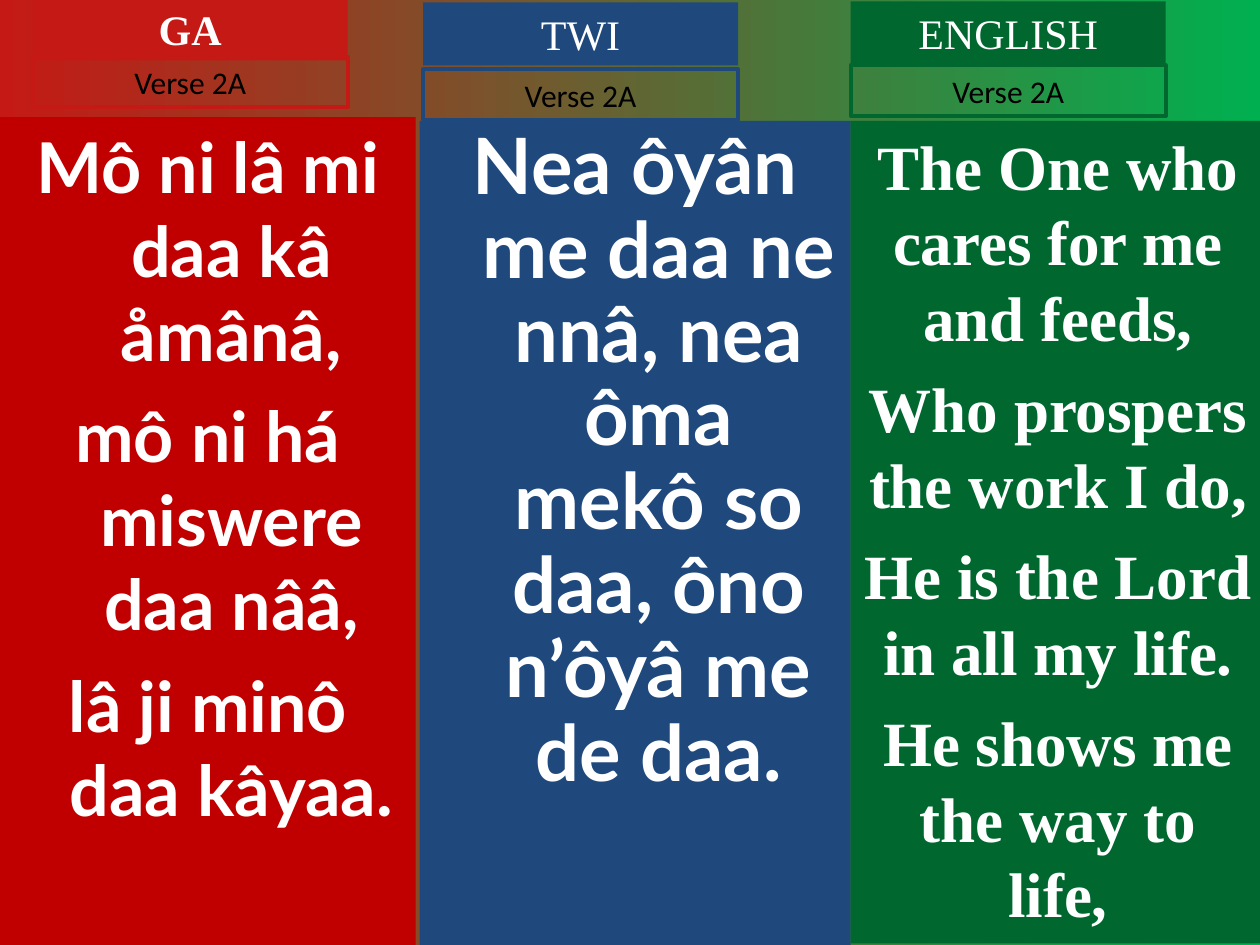
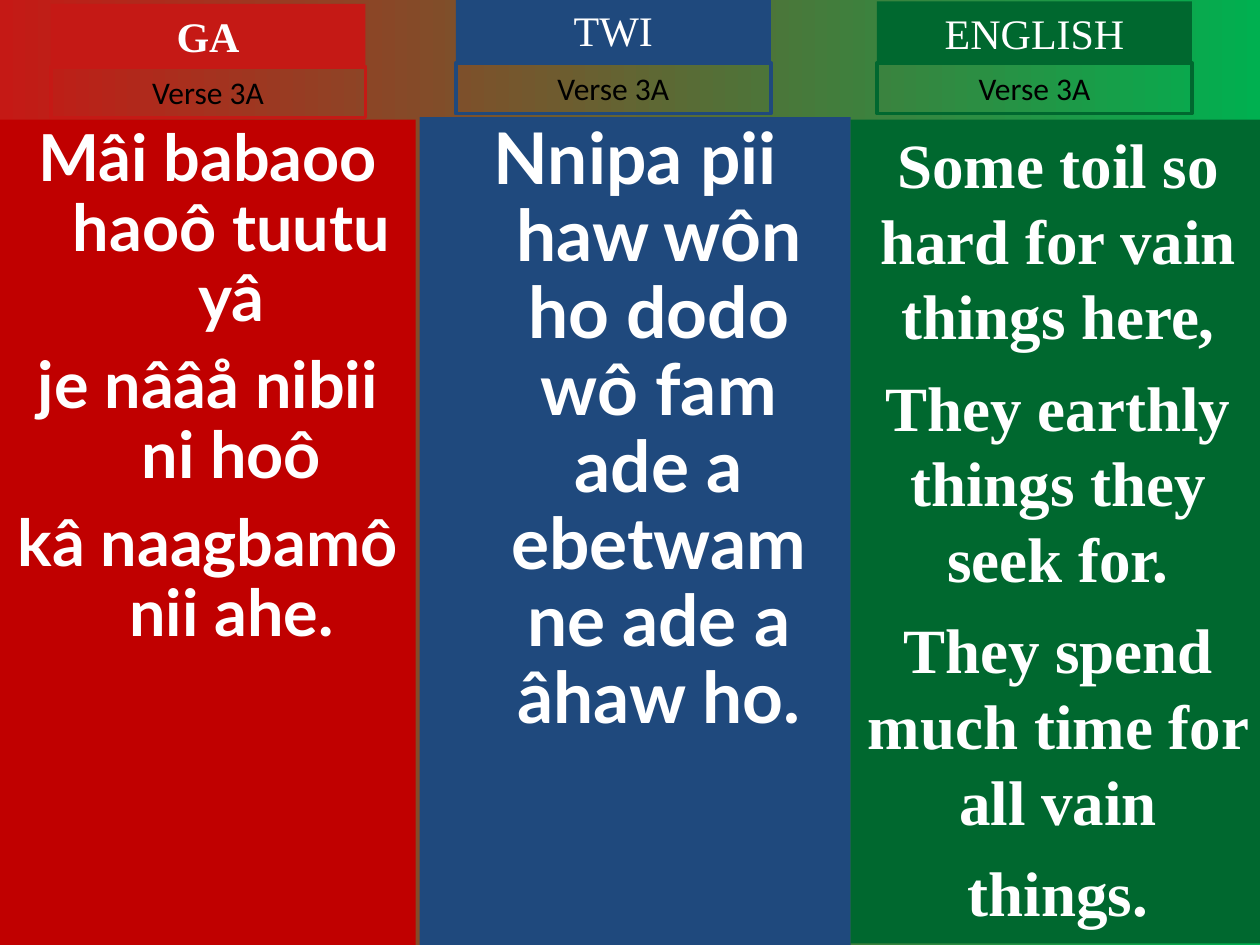
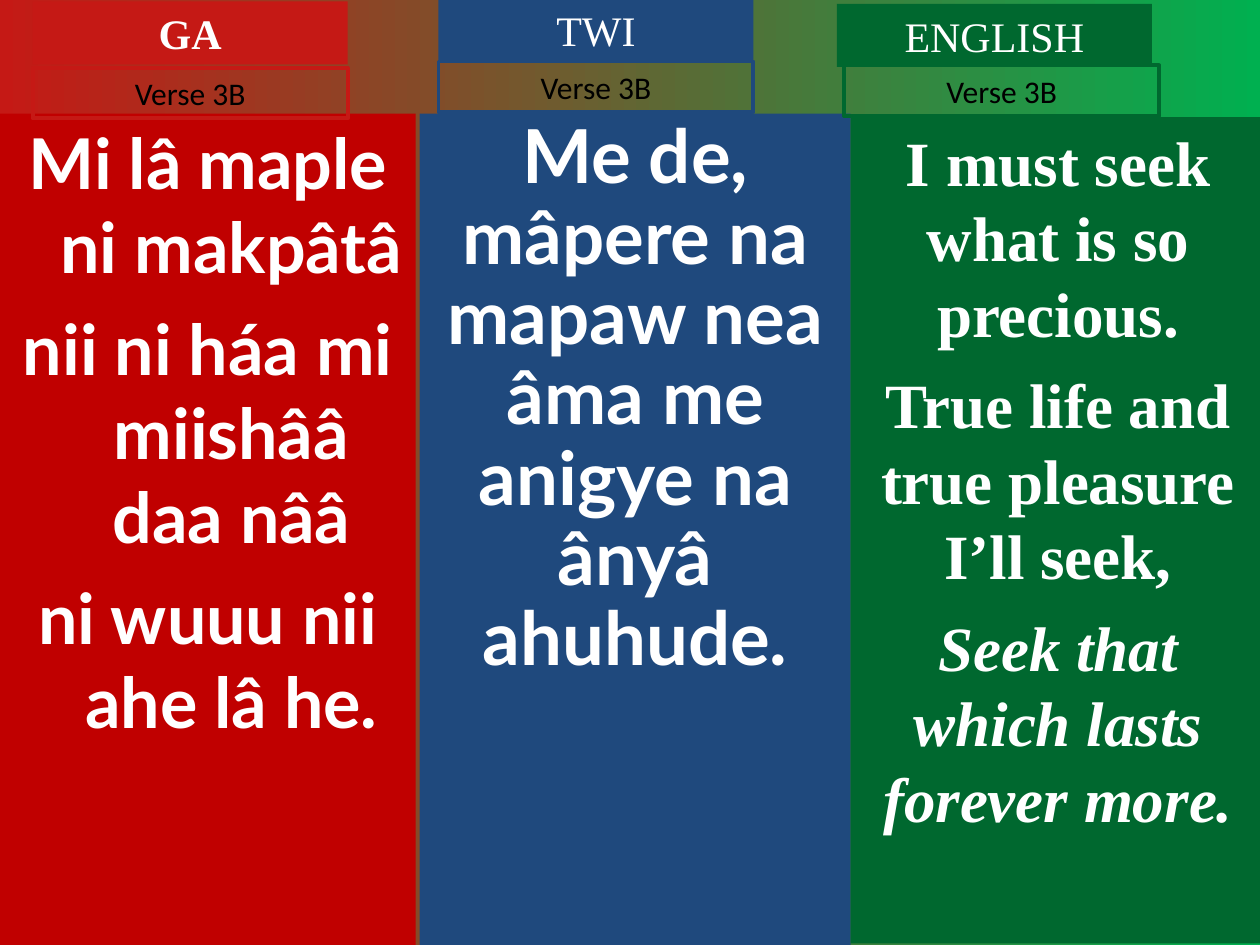
from pptx import Presentation
from pptx.dml.color import RGBColor
from pptx.enum.shapes import MSO_SHAPE
from pptx.enum.text import MSO_ANCHOR, PP_ALIGN
from pptx.util import Cm, Pt

RECT = MSO_SHAPE.RECTANGLE
TOP = MSO_ANCHOR.TOP
CENTER = PP_ALIGN.CENTER

COLORS = {
    "ga": "C51915", "ga_panel": "C00000", "twi": "1F497D", "english": "00682F",
    "bg_end": "00B050", "white": "FFFFFF", "black": "000000",
}
SERIF, SANS, LYRIC = "Times New Roman", "Calibri", "Lato"

COLUMNS = [
    {"name": "GA", "color": "ga", "panel": "ga_panel", "font": LYRIC,
     "left": 0, "width": 8.38, "bottom": 19.05, "inset": 0.25},
    {"name": "TWI", "color": "twi", "panel": "twi", "font": LYRIC,
     "left": 8.46, "width": 8.69, "bottom": 19.05, "inset": 0.3},
    {"name": "ENGLISH", "color": "english", "panel": "english", "font": SERIF,
     "left": 17.15, "width": 8.36, "bottom": 19.02, "inset": 0.25},
]

SLIDES = [
    ("Verse 2A", [
        {"top": 2.36, "head": (0.66, -0.05), "verse": (0.66, 1.14),
         "size": 40, "before": 10, "spacing": 1, "hanging": True,
         "lines": ["Mô ni lâ mi daa kâ åmânâ,", "mô ni há miswere daa nââ,",
                   "lâ ji minô daa kâyaa."]},
        {"top": 2.44, "head": (8.53, 0.05), "verse": (8.53, 1.4),
         "size": 44.4, "before": 12, "spacing": 0.9, "hanging": True,
         "lines": ["Nea ôyân me daa ne nnâ, nea ôma mekô so daa, ôno n’ôyâ me de daa."]},
        {"top": 2.44, "head": (17.15, 0.03), "verse": (17.15, 1.32),
         "size": 36, "before": 9, "spacing": 1, "hanging": False,
         "lines": ["The One who cares for me and feeds,", "Who prospers the work I do,",
                   "He is the Lord in all my life.", "He shows me the way to life,"]},
    ]),
    ("Verse 3A", [
        {"top": 2.41, "head": (1.02, 0.08), "verse": (1.02, 1.35),
         "size": 37, "before": 10, "spacing": 0.9, "hanging": True,
         "lines": ["Mâi babaoo haoô tuutu yâ", "je nââå nibii ni hoô",
                   "kâ naagbamô nii ahe."]},
        {"top": 2.36, "head": (9.19, -0.03), "verse": (9.19, 1.27),
         "size": 40.7, "before": 11, "spacing": 0.9, "hanging": True,
         "lines": ["Nnipa pii haw wôn ho dodo wô fam ade a ebetwam ne ade a âhaw ho."]},
        {"top": 2.41, "head": (17.68, 0.03), "verse": (17.68, 1.27),
         "size": 36, "before": 9, "spacing": 1, "hanging": False,
         "lines": ["Some toil so hard for vain things here,",
                   "They earthly things they seek for.",
                   "They spend much time for all vain", "things."]},
    ]),
    ("Verse 3B", [
        {"top": 2.29, "head": (0.66, 0.03), "verse": (0.66, 1.37),
         "size": 40, "before": 10, "spacing": 1, "hanging": True,
         "lines": ["Mi lâ maple ni makpâtâ", "nii ni háa mi miishââ daa nââ",
                   "ni wuuu nii ahe lâ he."]},
        {"top": 2.29, "head": (8.84, -0.03), "verse": (8.84, 1.24),
         "size": 42.5, "before": 11.5, "spacing": 0.9, "hanging": False,
         "lines": ["Me de, mâpere na mapaw nea âma me anigye na ânyâ ahuhude."]},
        {"top": 2.36, "head": (16.87, 0.08), "verse": (17.02, 1.32),
         "size": 36, "before": 9, "spacing": 1, "hanging": False,
         "italic": "Seek that which lasts forever more.",
         "lines": ["I must seek what is so precious.",
                   "True life and true pleasure I’ll seek,",
                   "Seek that which lasts forever more."]},
    ]),
]


def rgb(name):
    return RGBColor.from_string(COLORS[name])


def add_box(s, left, top, width, height, lines, font, size, color,
            bold=False, fill=None, line=None):
    sp = s.shapes.add_shape(RECT, Cm(left), Cm(top), Cm(width), Cm(height))
    sp.shadow.inherit = False
    if fill:
        sp.fill.solid()
        sp.fill.fore_color.rgb = rgb(fill)
    else:
        sp.fill.background()
    if line:
        sp.line.color.rgb = rgb(line)
        sp.line.width = Pt(2.25)
    else:
        sp.line.fill.background()
    tf = sp.text_frame
    tf.word_wrap = True
    tf.vertical_anchor = TOP
    tf.text = "\n".join(lines)
    for p in tf.paragraphs:
        p.alignment = CENTER
        p.font.name = font
        p.font.size = Pt(size)
        p.font.bold = bold
        p.font.color.rgb = rgb(color)
    return tf


prs = Presentation()
prs.slide_width, prs.slide_height = Cm(25.4), Cm(19.05)

fill = prs.slide_master.background.fill
fill.gradient()
fill.gradient_angle = 0
for stop, position, name in zip(fill.gradient_stops, (0, 1), ("ga", "bg_end")):
    stop.position = position
    stop.color.rgb = rgb(name)

for verse, panels in SLIDES:
    s = prs.slides.add_slide(prs.slide_layouts[6])
    for col, panel in zip(COLUMNS, panels):
        tf = add_box(s, col["left"], panel["top"], col["width"],
                     col["bottom"] - panel["top"], panel["lines"], col["font"],
                     panel["size"], "white", bold=True, fill=col["panel"])
        tf.margin_left = tf.margin_right = Cm(col["inset"])
        for i, p in enumerate(tf.paragraphs):
            p.line_spacing = panel["spacing"]
            p.space_before = Pt(panel["before"] if i else 0)
            if p.text == panel.get("italic"):
                p.font.italic = True
            if panel["hanging"]:
                pPr = p._p.get_or_add_pPr()
                pPr.set("marL", str(Cm(0.95)))
                pPr.set("indent", str(-Cm(0.95)))
        add_box(s, *panel["head"], 6.35, 1.27, [col["name"]], SERIF, 24, "white",
                bold=col["name"] == "GA", fill=col["color"])
        add_box(s, *panel["verse"], 6.35, 1.02, [verse], SANS, 18, "black",
                line=col["color"])

prs.save("out.pptx")
